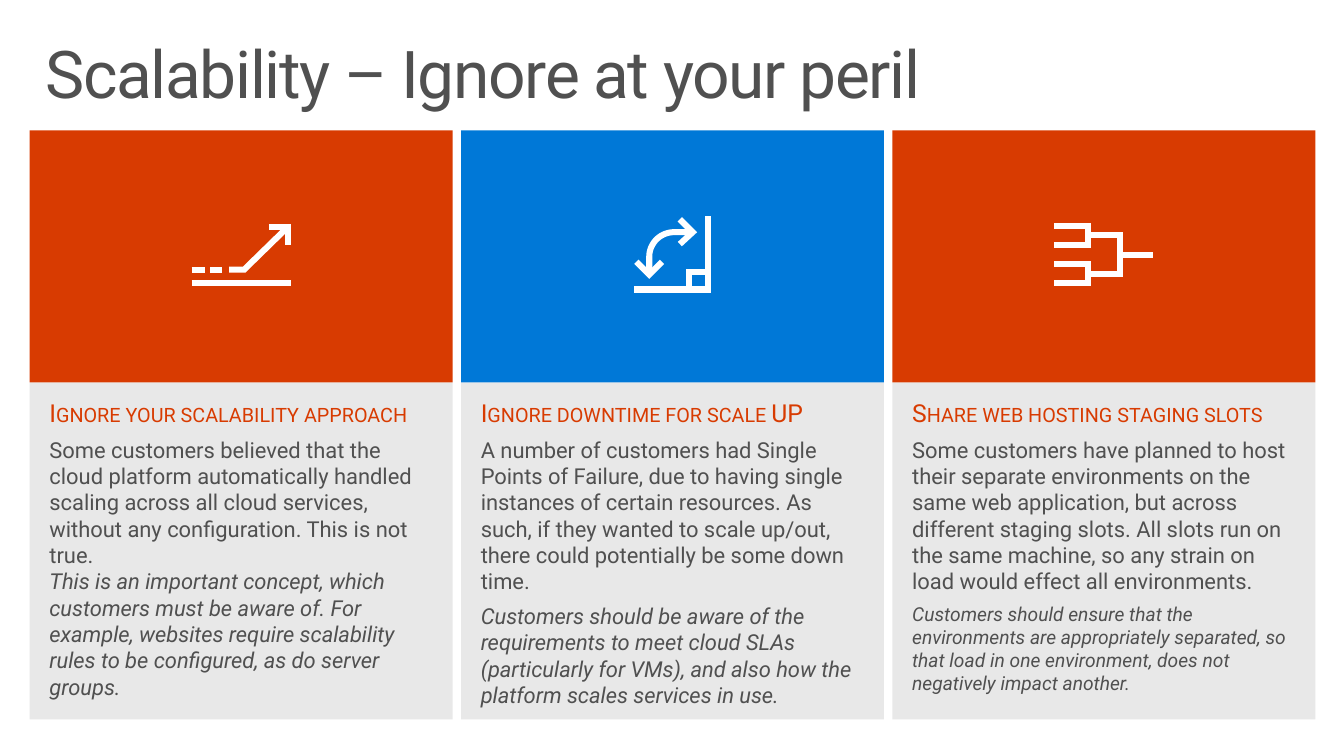
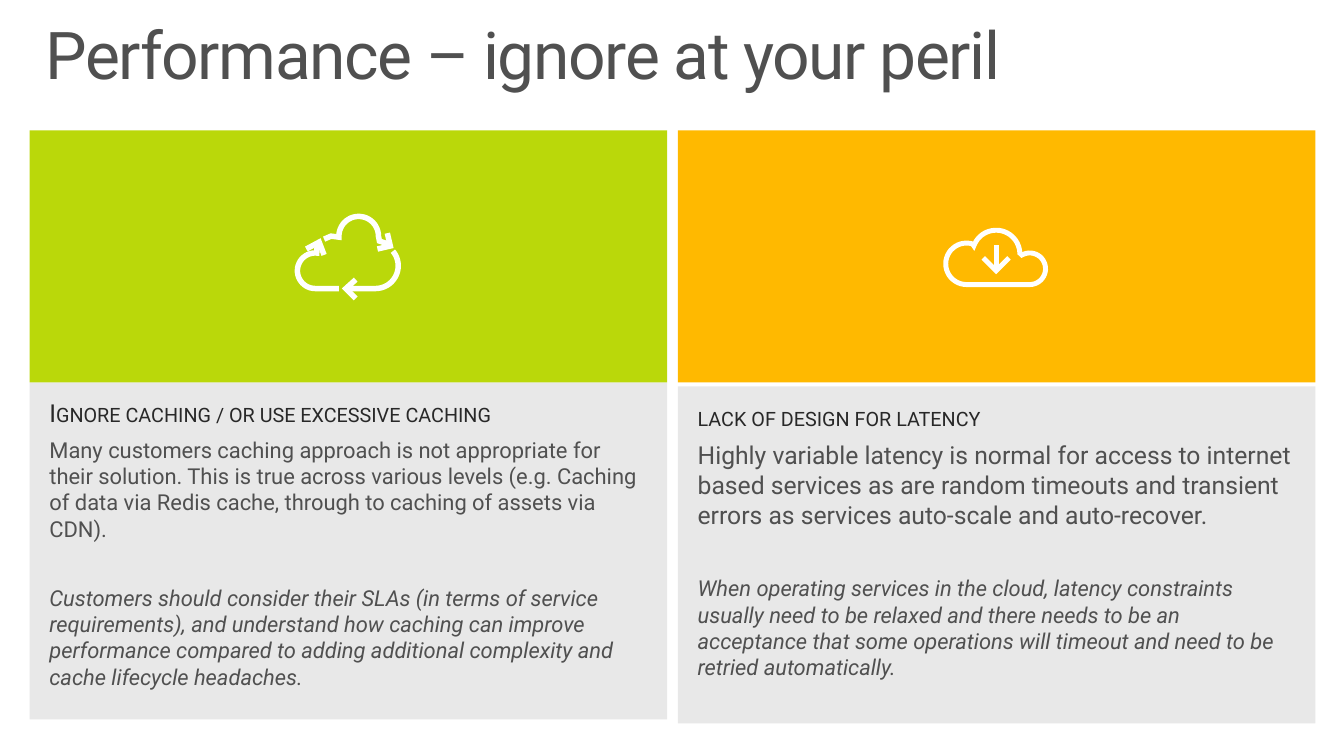
import math
import pptx
import pptx.dml.color
import pptx.enum.shapes
import pptx.enum.text
import pptx.util
from lxml import etree
from pptx.util import Inches

COLORS = {
    "text": "505050", "dark": "282828", "panel": "E8E8E8", "white": "FFFFFF",
    "red": "D83B01", "blue": "0078D7", "green": "BAD80A", "amber": "FFB900",
}
FONT = "Roboto"
LEFT, SPAN = 0.3, 13.01
TILE_TOP, TILE_HEIGHT, PANEL_HEIGHT = 1.32, 2.55, 3.41


def style_run(run, size, color, italic=False):
    run.font.name = FONT
    run.font.size = pptx.util.Pt(size)
    run.font.italic = italic
    run.font.color.rgb = pptx.dml.color.RGBColor.from_string(COLORS[color])


def arc(center_x, center_y, radius, start, end, steps=24):
    angles = [math.radians(start + (end - start) * step / steps) for step in range(steps + 1)]
    return [(center_x + radius * math.cos(angle), center_y + radius * math.sin(angle)) for angle in angles]


growth_icon = [
    [(1.94, 2.86), (2.94, 2.86)],
    [(1.94, 2.73), (2.07, 2.73)],
    [(2.13, 2.73), (2.25, 2.73)],
    [(2.32, 2.73), (2.47, 2.73), (2.91, 2.3)],
    [(2.72, 2.3), (2.91, 2.3), (2.91, 2.48)],
]
rotate_icon = [
    [(6.42, 2.93), (7.16, 2.93), (7.16, 2.19)],
    [(6.97, 2.9), (6.97, 2.75), (7.13, 2.75)],
    [(6.57, 2.78)] + arc(6.82, 2.6, 0.25, 180, 270) + [(7.01, 2.35)],
    [(6.88, 2.22), (7.01, 2.35), (6.88, 2.47)],
    [(6.44, 2.65), (6.57, 2.78), (6.7, 2.65)],
]
merge_icon = [
    [(10.67, 2.29), (11.01, 2.29), (11.01, 2.48), (10.67, 2.48)],
    [(10.67, 2.67), (11.01, 2.67), (11.01, 2.86), (10.67, 2.86)],
    [(11.01, 2.38), (11.33, 2.38), (11.33, 2.77), (11.01, 2.77)],
    [(11.33, 2.58), (11.67, 2.58)],
]
cycle_icon = [
    [(3.43, 2.92)] + arc(3.19, 2.74, 0.18, 90, 275) + [(3.21, 2.48)],
    [(3.1, 2.52), (3.23, 2.45), (3.28, 2.58)],
    arc(3.8, 2.69, 0.23, -40, 90) + [(3.51, 2.92)],
    [(3.6, 2.83), (3.5, 2.92), (3.6, 3.02)],
    [(3.28, 2.42), (3.35, 2.39), (3.43, 2.4)] + arc(3.63, 2.39, 0.2, 180, 360) + [(3.84, 2.44), (3.93, 2.47)],
    [(3.92, 2.36), (3.95, 2.49), (3.82, 2.52)],
]
cloud = arc(9.78, 2.67, 0.21, 90, 287) + arc(10.08, 2.57, 0.24, 200, 358) + arc(10.42, 2.72, 0.16, 240, 450)
download_icon = [
    cloud + cloud[:2],
    [(10.08, 2.48), (10.08, 2.74)],
    [(9.95, 2.61), (10.08, 2.74), (10.21, 2.61)],
]

PAGES = [
    {
        "title": "Scalability – Ignore at your peril", "title_top": 0.32,
        "width": 4.28, "heading_color": "red",
        "columns": [
            {
                "color": "red", "icon": growth_icon, "stroke": 4.4, "panel_top": 3.87,
                "heading": "Ignore your scalability approach",
                "body": [
                    ("Some customers believed that the cloud platform automatically handled scaling across all cloud services, without any configuration. This is not true.", 16, False, 6),
                    ("This is an important concept, which customers must be aware of. For example, websites require scalability rules to be configured, as do server groups.", 16, True, 0),
                ],
            },
            {
                "color": "blue", "icon": rotate_icon, "stroke": 4.4, "panel_top": 3.87,
                "heading": "Ignore downtime for scale UP",
                "body": [
                    ("A number of customers had Single Points of Failure, due to having single instances of certain resources. As such, if they wanted to scale up/out, there could potentially be some down time.", 16, False, 6),
                    ("Customers should be aware of the requirements to meet cloud SLAs (particularly for VMs), and also how the platform scales services in use.", 16, True, 6),
                ],
            },
            {
                "color": "red", "icon": merge_icon, "stroke": 4.4, "panel_top": 3.87,
                "heading": "Share web hosting staging slots",
                "body": [
                    ("Some customers have planned to host their separate environments on the same web application, but across different staging slots. All slots run on the same machine, so any strain on load would effect all environments.", 16, False, 6),
                    ("Customers should ensure that the environments are appropriately separated, so that load in one environment, does not negatively impact another.", 14, True, 6),
                ],
            },
        ],
    },
    {
        "title": "Performance – ignore at your peril", "title_top": 0.13,
        "width": 6.45, "heading_color": "dark",
        "columns": [
            {
                "color": "green", "icon": cycle_icon, "stroke": 4, "panel_top": 3.87,
                "heading": "Ignore caching / or use excessive caching",
                "body": [
                    ("Many customers caching approach is not appropriate for their solution. This is true across various levels (e.g. Caching of data via Redis cache, through to caching of assets via CDN).", 16, False, 6),
                    ("Customers should consider their SLAs (in terms of service requirements), and understand how caching can improve performance compared to adding additional complexity and cache lifecycle headaches.", 16, True, 31),
                ],
            },
            {
                "color": "amber", "icon": download_icon, "stroke": 3.6, "panel_top": 3.91,
                "heading": "lack of design for latency",
                "body": [
                    ("Highly variable latency is normal for access to internet based services as are random timeouts and transient errors as services auto-scale and auto-recover.", 18, False, 6),
                    ("When operating services in the cloud, latency constraints usually need to be relaxed and there needs to be an acceptance that some operations will timeout and need to be retried automatically.", 16, True, 33.5),
                ],
            },
        ],
    },
]

deck = pptx.Presentation()
deck.slide_width, deck.slide_height = Inches(13.6), Inches(7.65)

for content in PAGES:
    page = deck.slides.add_slide(deck.slide_layouts[5])
    title = page.shapes.title
    title.left, title.top = Inches(LEFT), Inches(content["title_top"])
    title.width, title.height = Inches(13), Inches(1)
    frame = title.text_frame
    frame.text = content["title"]
    frame.auto_size = pptx.enum.text.MSO_AUTO_SIZE.NONE
    frame.vertical_anchor = pptx.enum.text.MSO_ANCHOR.TOP
    frame.margin_left = frame.margin_right = Inches(0.16)
    frame.margin_top = frame.margin_bottom = Inches(0.1)
    para = frame.paragraphs[0]
    para.alignment = pptx.enum.text.PP_ALIGN.LEFT
    para.line_spacing = 0.9
    style_run(para.runs[0], 48, "text")
    para.runs[0].font._element.set("spc", "-100")

    width = content["width"]
    step = (SPAN - width) / (len(content["columns"]) - 1)
    for index, column in enumerate(content["columns"]):
        left = LEFT + index * step
        boxes = []
        for top, height, color in (
            (column["panel_top"], PANEL_HEIGHT, "panel"),
            (TILE_TOP, TILE_HEIGHT, column["color"]),
        ):
            box = page.shapes.add_shape(
                pptx.enum.shapes.MSO_SHAPE.RECTANGLE,
                Inches(left), Inches(top), Inches(width), Inches(height))
            box.shadow.inherit = False
            box.fill.solid()
            box.fill.fore_color.rgb = pptx.dml.color.RGBColor.from_string(COLORS[color])
            box.line.fill.background()
            boxes.append(box)

        frame = boxes[0].text_frame
        frame.word_wrap = True
        frame.vertical_anchor = pptx.enum.text.MSO_ANCHOR.TOP
        frame.margin_left = frame.margin_right = Inches(0.2)
        frame.margin_top = frame.margin_bottom = Inches(0.16)
        frame.text = column["heading"]
        heading = frame.paragraphs[0]
        heading.alignment = pptx.enum.text.PP_ALIGN.LEFT
        style_run(heading.runs[0], 18, content["heading_color"])
        heading.runs[0].font._element.set("cap", "small")
        for text, size, italic, space in column["body"]:
            para = frame.add_paragraph()
            para.text = text
            para.alignment = pptx.enum.text.PP_ALIGN.LEFT
            para.space_before = pptx.util.Pt(space)
            style_run(para.runs[0], size, "text", italic)

        builder = None
        for stroke in column["icon"]:
            points = [(Inches(x), Inches(y)) for x, y in stroke]
            if builder is None:
                builder = page.shapes.build_freeform(*points[0])
            else:
                builder.move_to(*points[0])
            builder.add_line_segments(points[1:], close=False)
        icon = builder.convert_to_shape()
        icon.shadow.inherit = False
        icon.fill.background()
        icon.line.color.rgb = pptx.dml.color.RGBColor.from_string(COLORS["white"])
        icon.line.width = pptx.util.Pt(column["stroke"])
        outline = icon.line._get_or_add_ln()
        etree.SubElement(outline, pptx.oxml.ns.qn("a:miter"), lim="800000")

deck.save("out.pptx")
